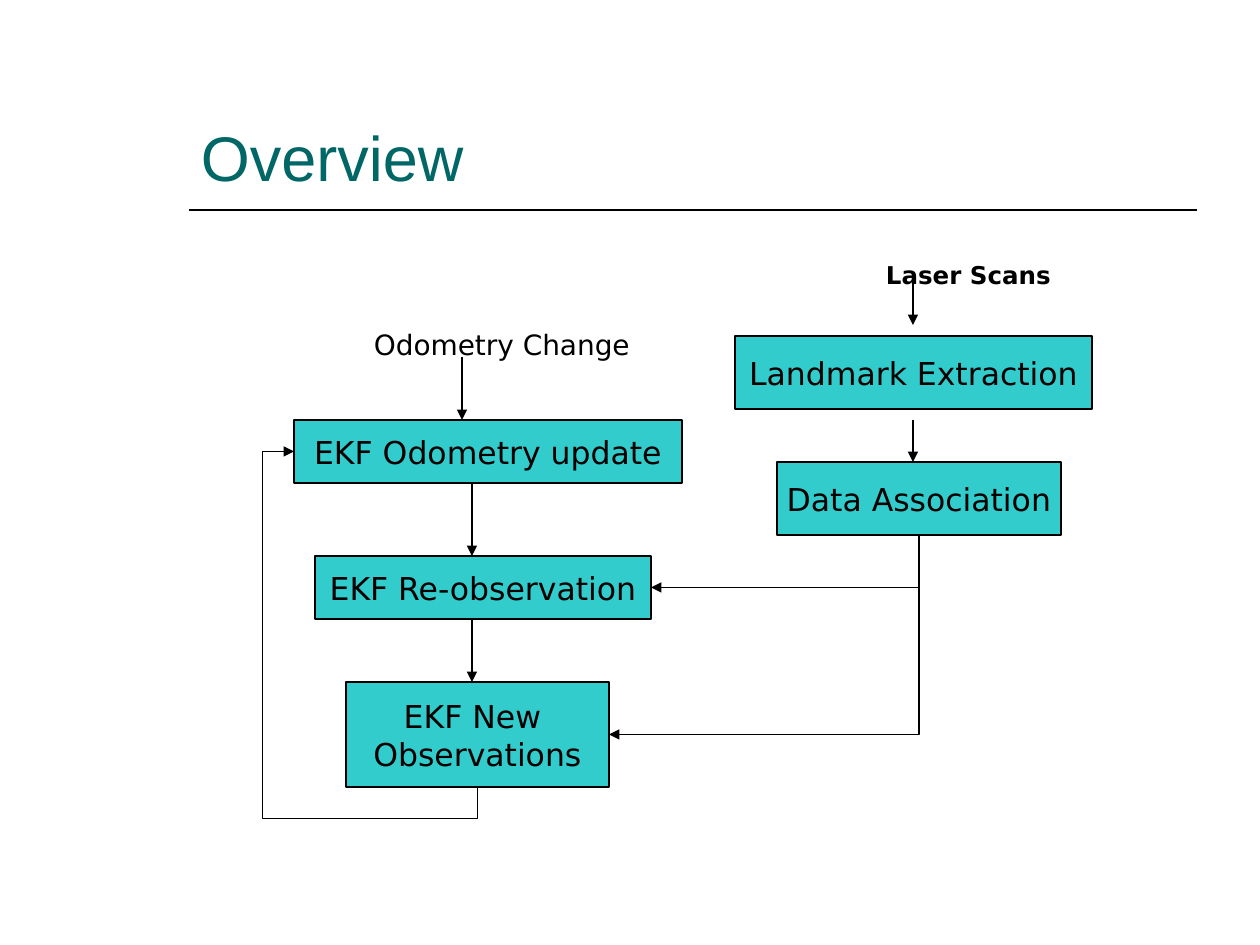
from lxml import etree
from pptx import Presentation
from pptx.dml.color import RGBColor
from pptx.enum.shapes import MSO_CONNECTOR, MSO_SHAPE
from pptx.enum.text import MSO_ANCHOR, PP_ALIGN
from pptx.oxml.ns import qn
from pptx.util import Pt

STRAIGHT, ELBOW = MSO_CONNECTOR.STRAIGHT, MSO_CONNECTOR.ELBOW
PROCESS = MSO_SHAPE.FLOWCHART_PROCESS
LEFT, CENTER = PP_ALIGN.LEFT, PP_ALIGN.CENTER
TOP, MIDDLE, BOTTOM = MSO_ANCHOR.TOP, MSO_ANCHOR.MIDDLE, MSO_ANCHOR.BOTTOM
SCALE = 914400 / 126
COLORS = {"title": "006666", "box": "33CCCC", "ink": "000000"}
SANS = "DejaVu Sans"

# Content: lengths in px
TITLE = ("Overview", (189, 42, 1008, 158))
RULE = (189, 210, 1197, 210)
LABELS = [  # text, place, size, bold
    ("Laser Scans", (886, 260, 200, 30), 14, True),
    ("Odometry Change", (374, 328, 290, 33), 16, False),
]
BOXES = {  # name: lines, place
    "new": (["EKF New ", "Observations"], (346, 682, 263, 105)),
    "again": (["EKF Re-observation"], (315, 556, 336, 63)),
    "update": (["EKF Odometry update"], (294, 420, 388, 63)),
    "data": (["Data Association"], (777, 462, 284, 73)),
    "marks": (["Landmark Extraction"], (735, 336, 357, 73)),
}
ARROWS = [  # x, top, bottom
    (913, 283, 325),
    (913, 420, 462),
    (462, 357, 420),
    (472, 483, 556),
    (472, 619, 682),
]
BENDS = [  # from, to, side, preset, turn, flip, adjustments
    ("data", "again", 3, "bentConnector2", 90, False, []),
    ("data", "new", 3, "bentConnector2", 90, False, []),
    ("new", "update", 1, "bentConnector4", 270, True, [-9400, 117100]),
]


def emu(*vals):
    return [round(v * SCALE) for v in vals]


def color(name):
    return RGBColor.from_string(COLORS[name])


def write(shape, lines, size, font=SANS, ink="ink", bold=False,
          align=LEFT, anchor=TOP, wrap=True, inset=0):
    frame = shape.text_frame
    frame.word_wrap = wrap
    frame.vertical_anchor = anchor
    frame.margin_left = frame.margin_right = emu(2 * inset)[0]
    frame.margin_top = frame.margin_bottom = emu(inset)[0]
    for i, line in enumerate(lines):
        para = frame.add_paragraph() if i else frame.paragraphs[0]
        para.alignment = align
        run = para.add_run()
        run.text = line
        run.font.size, run.font.name, run.font.bold = Pt(size), font, bold
        run.font.color.rgb = color(ink)


def link(kind, ends, width=0.75, head=True):
    line = slide.shapes.add_connector(kind, *emu(*ends))
    line.line.color.rgb = color("ink")
    line.line.width = Pt(width)
    if head:
        etree.SubElement(line.line._get_or_add_ln(), qn("a:tailEnd"), type="triangle")
    etree.SubElement(line._element.spPr, qn("a:effectLst"))
    return line


def bend(start, end, side, preset, turn, flip, adjusts):
    x, y, w, h = BOXES[start][1]
    x1, y1 = x + w / 2, y + h
    x, y, w, h = BOXES[end][1]
    x2, y2 = x + (w if side == 3 else 0), y + h / 2
    line = link(ELBOW, (x1, y1, x2, y2))
    line.begin_connect(shapes[start], 2)
    line.end_connect(shapes[end], side)
    # A quarter turn swaps the width and height about the centre
    wide, tall = abs(y2 - y1), abs(x2 - x1)
    line.left, line.top, line.width, line.height = emu(
        (x1 + x2 - wide) / 2, (y1 + y2 - tall) / 2, wide, tall)
    props = line._element.spPr
    form = props.find(qn("a:xfrm"))
    form.flipH, form.flipV, form.rot = False, flip, turn
    geom = props.find(qn("a:prstGeom"))
    geom.set("prst", preset)
    guides = geom.find(qn("a:avLst"))
    if guides is None:
        guides = etree.SubElement(geom, qn("a:avLst"))
    for i, val in enumerate(adjusts, 1):
        etree.SubElement(guides, qn("a:gd"), name=f"adj{i}", fmla=f"val {val}")


deck = Presentation()
deck.slide_width, deck.slide_height = emu(1260, 945)
slide = deck.slides.add_slide(deck.slide_layouts[6])

# Title and rule
link(STRAIGHT, RULE, 1, False)
text, place = TITLE
write(slide.shapes.add_textbox(*emu(*place)), [text], 36, "Arial", "title",
      anchor=BOTTOM, inset=6)

# Input labels
for text, place, size, bold in LABELS:
    write(slide.shapes.add_textbox(*emu(*place)), [text], size, bold=bold)

# Process boxes
shapes = {}
for name, (lines, place) in BOXES.items():
    box = shapes[name] = slide.shapes.add_shape(PROCESS, *emu(*place))
    box.shadow.inherit = False
    box.fill.solid()
    box.fill.fore_color.rgb = color("box")
    box.line.color.rgb = color("ink")
    box.line.width = Pt(0.75)
    write(box, lines, 18, align=CENTER, anchor=MIDDLE, wrap=False, inset=6)

# Flow arrows
for x, top, bottom in ARROWS:
    link(STRAIGHT, (x, top, x, bottom))
for item in BENDS:
    bend(*item)

deck.save("out.pptx")
